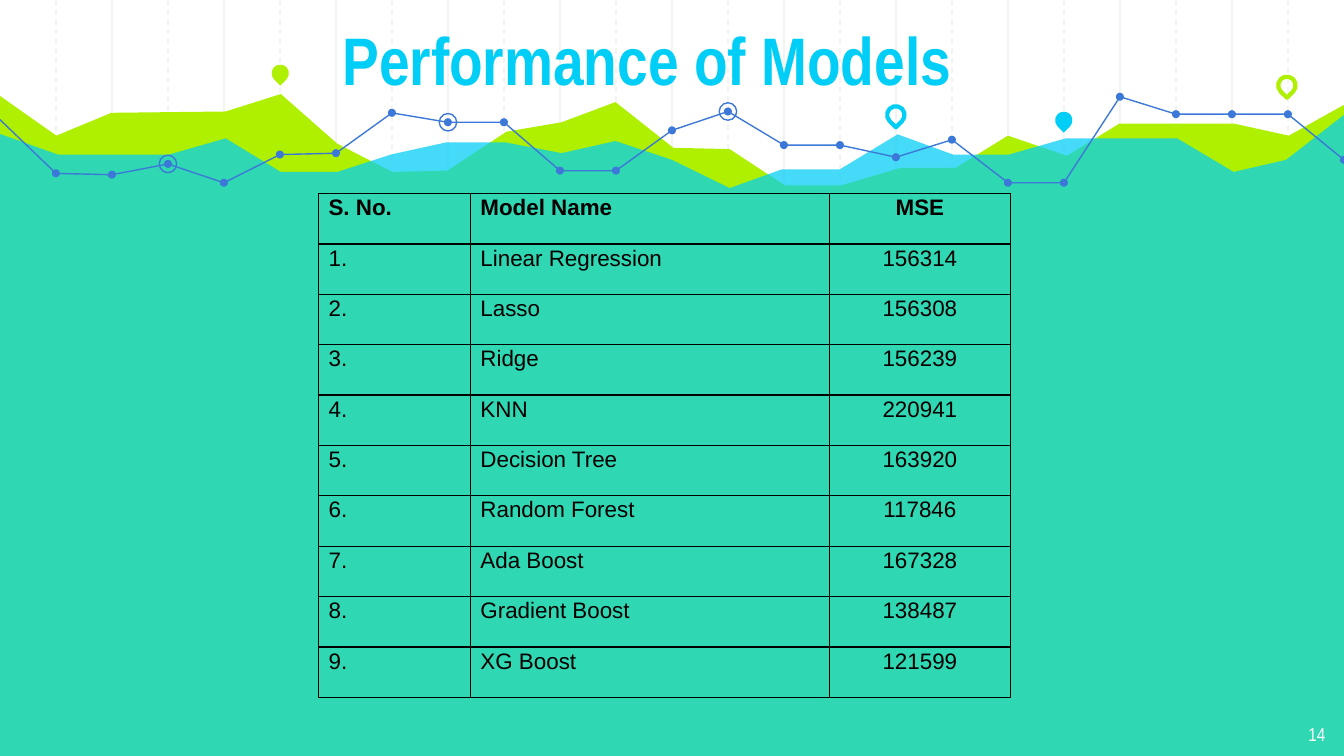
from lxml.etree import SubElement
from pptx import Presentation
from pptx.dml.color import RGBColor
from pptx.enum.dml import MSO_LINE
from pptx.enum.shapes import MSO_CONNECTOR, MSO_SHAPE
from pptx.enum.text import MSO_ANCHOR, MSO_AUTO_SIZE, PP_ALIGN
from pptx.oxml.ns import qn
from pptx.util import Inches, Pt

COLORS = {"grid": "F3F3F3", "lime": "AFF000", "cyan": "00CEF6",
          "blue": "3C78D8", "black": "000000", "white": "FFFFFF"}
WIDTH = 10
HEIGHT = WIDTH * 9 / 16
STEP = WIDTH / 24

deck = Presentation()
deck.slide_width, deck.slide_height = Inches(WIDTH), Inches(HEIGHT)
page = deck.slides.add_slide(deck.slide_layouts[5])
shapes = page.shapes


def paint(shape, fill=None, line=None, weight=0.75):
    shape.shadow.inherit = False
    for name, part in ((fill, shape.fill), (line, shape.line.fill)):
        if name:
            part.solid()
            part.fore_color.rgb = RGBColor.from_string(COLORS[name])
        else:
            part.background()
    if line:
        shape.line.width = Pt(weight)
    return shape


def outline(points, close):
    corners = [(Inches(x), Inches(y)) for x, y in points]
    builder = shapes.build_freeform(*corners[0], scale=1.0)
    builder.add_line_segments(corners[1:], close=close)
    return builder.convert_to_shape()


# Vertical grid, alternately dashed and solid
for index in range(1, 24):
    x = Inches(index * STEP)
    rule = shapes.add_connector(MSO_CONNECTOR.STRAIGHT, x, 0, x, Inches(HEIGHT))
    rule.line.color.rgb = RGBColor.from_string(COLORS["grid"])
    rule.line.width = Pt(0.75)
    if index % 2:
        rule.line.dash_style = MSO_LINE.DASH
    SubElement(rule._element.spPr, qn("a:effectLst"))

# Area silhouettes
lime_ridge = [
    (-0.02, 0.7), (0.42, 1.01), (0.83, 0.84), (1.68, 0.83), (2.09, 0.7),
    (2.51, 1.07), (2.92, 1.28), (3.33, 1.27), (3.77, 0.98), (4.18, 0.91),
    (4.58, 0.76), (5.01, 1.1), (5.43, 1.11), (5.84, 1.38), (6.26, 1.38),
    (6.7, 1.25), (7.11, 1.25), (7.5, 1.01), (7.94, 1.16), (8.33, 0.92),
    (9.18, 0.92), (9.59, 1.01), (10.02, 0.77)]
cyan_ridge = [
    (-0.02, 0.99), (0.43, 1.15), (1.26, 1.15), (1.68, 1.03), (2.09, 1.28),
    (2.51, 1.28), (2.91, 1.15), (3.32, 1.06), (3.76, 1.06), (4.18, 1.14),
    (4.58, 1.05), (5, 1.19), (5.43, 1.4), (5.82, 1.26), (6.25, 1.26),
    (6.68, 1), (7.09, 1.15), (7.51, 1.15), (7.93, 1.03), (8.76, 1.03),
    (9.18, 1.28), (9.57, 1.19), (10.02, 0.84)]
for ridge, color in ((lime_ridge, "lime"), (cyan_ridge, "cyan")):
    area = paint(outline(ridge + [(10.04, 5.67), (-0.02, 5.67)], True), color)
tint = area._element.spPr.find(qn("a:solidFill"))[0]
SubElement(tint, qn("a:alpha"), val="73000")

# Trend line in three stretches
levels = [0.89, 1.29, 1.3, 1.22, 1.36, 1.15, 1.14, 0.84, 0.91, 0.91, 1.27, 1.27,
          0.97, 0.83, 1.08, 1.08, 1.17, 1.04, 1.36, 1.36, 0.72, 0.85, 0.85,
          0.85, 1.19]
trend = [(index * STEP, level) for index, level in enumerate(levels)]
for first, last in ((0, 11), (11, 20), (20, 24)):
    paint(outline(trend[first:last + 1], False), line="blue")

# Dots on the trend line, some of them ringed
dots = [(point, 0.06, "blue", None) for point in trend[1:]]
rings = [(trend[index], 0.13, None, "blue") for index in (3, 8, 13)]
for (x, y), size, fill, line in dots + rings:
    paint(shapes.add_shape(MSO_SHAPE.OVAL, Inches(x - size / 2), Inches(y - size / 2),
                           Inches(size), Inches(size)), fill, line)

# Map pins
for left, top, fill, line in ((2.02, 0.48, "lime", None), (6.6, 0.79, None, "cyan"),
                              (7.85, 0.83, "cyan", None), (9.51, 0.57, None, "lime")):
    pin = shapes.add_shape(MSO_SHAPE.TEAR, Inches(left), Inches(top),
                           Inches(0.13), Inches(0.13))
    pin.rotation = 135
    paint(pin, fill, line, 2.25)

# Title and page number
title = shapes.title
shapes._spTree.append(title._element)
title.left, title.top = Inches(1.21), Inches(-0.43)
title.width, title.height = Inches(7.21), Inches(1.27)
number = shapes.add_textbox(Inches(9.36), Inches(5.28), Inches(0.6), Inches(0.35))
for box, text, size, color, align, anchor in (
        (title, "Performance of Models", 36, "cyan", PP_ALIGN.CENTER, MSO_ANCHOR.BOTTOM),
        (number, "14", 10, "white", PP_ALIGN.RIGHT, MSO_ANCHOR.TOP)):
    frame = box.text_frame
    frame.text = text
    frame.word_wrap = True
    frame.auto_size = MSO_AUTO_SIZE.NONE
    frame.vertical_anchor = anchor
    frame.margin_left = frame.margin_right = Inches(0.1)
    frame.margin_top = frame.margin_bottom = Inches(0.1)
    para = frame.paragraphs[0]
    para.alignment = align
    font = para.runs[0].font
    font.name, font.size, font.bold = "Arial Narrow", Pt(size), box is title
    font.color.rgb = RGBColor.from_string(COLORS[color])

# Model scores
scores = [("Linear Regression", "156314"), ("Lasso", "156308"), ("Ridge", "156239"),
          ("KNN", "220941"), ("Decision Tree", "163920"), ("Random Forest", "117846"),
          ("Ada Boost", "167328"), ("Gradient Boost", "138487"), ("XG Boost", "121599")]
rows = [("S. No.", "Model Name", "MSE")]
rows += [(f"{place}.", *score) for place, score in enumerate(scores, 1)]
table = shapes.add_table(len(rows), 3, Inches(2.37), Inches(1.44),
                         Inches(5.15), Inches(3.75)).table
table.horz_banding = False
for column, width in zip(table.columns, (1.13, 2.67, 1.35)):
    column.width = Inches(width)
for row_index, values in enumerate(rows):
    for column_index, value in enumerate(values):
        cell = table.cell(row_index, column_index)
        cell.text = value
        cell.margin_left = cell.margin_right = Pt(5.4)
        cell.margin_top = cell.margin_bottom = 0
        para = cell.text_frame.paragraphs[0]
        para.alignment = PP_ALIGN.CENTER if column_index == 2 else PP_ALIGN.LEFT
        para.line_spacing, para.space_after = 1.07, Pt(12)
        font = para.runs[0].font
        font.name, font.size, font.bold = "Arial", Pt(12), row_index == 0
        font.color.rgb = RGBColor.from_string(COLORS["black"])
        properties = cell._tc.get_or_add_tcPr()
        for side in ("lnL", "lnR", "lnT", "lnB"):
            border = SubElement(properties, qn(f"a:{side}"), w=str(Pt(0.75)))
            stroke = SubElement(border, qn("a:solidFill"))
            SubElement(stroke, qn("a:srgbClr"), val=COLORS["black"])
        cell.fill.background()

deck.save("out.pptx")
